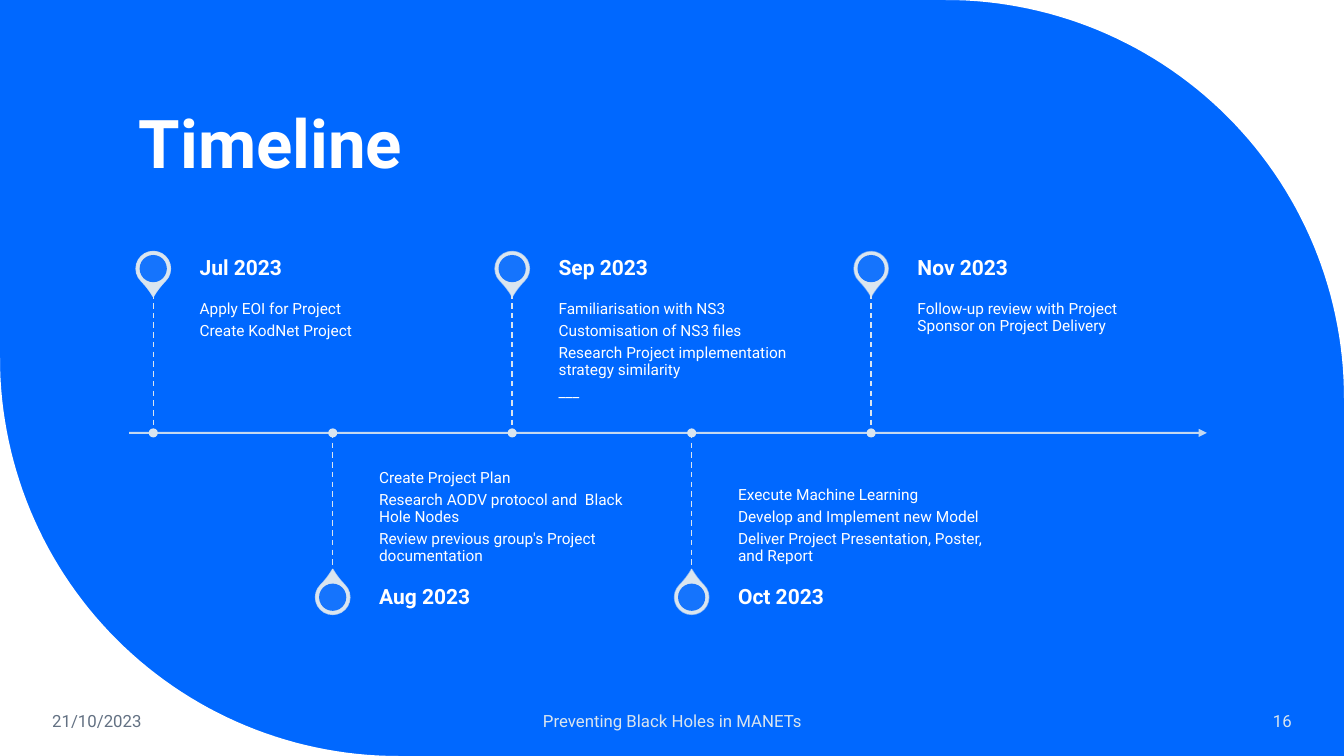
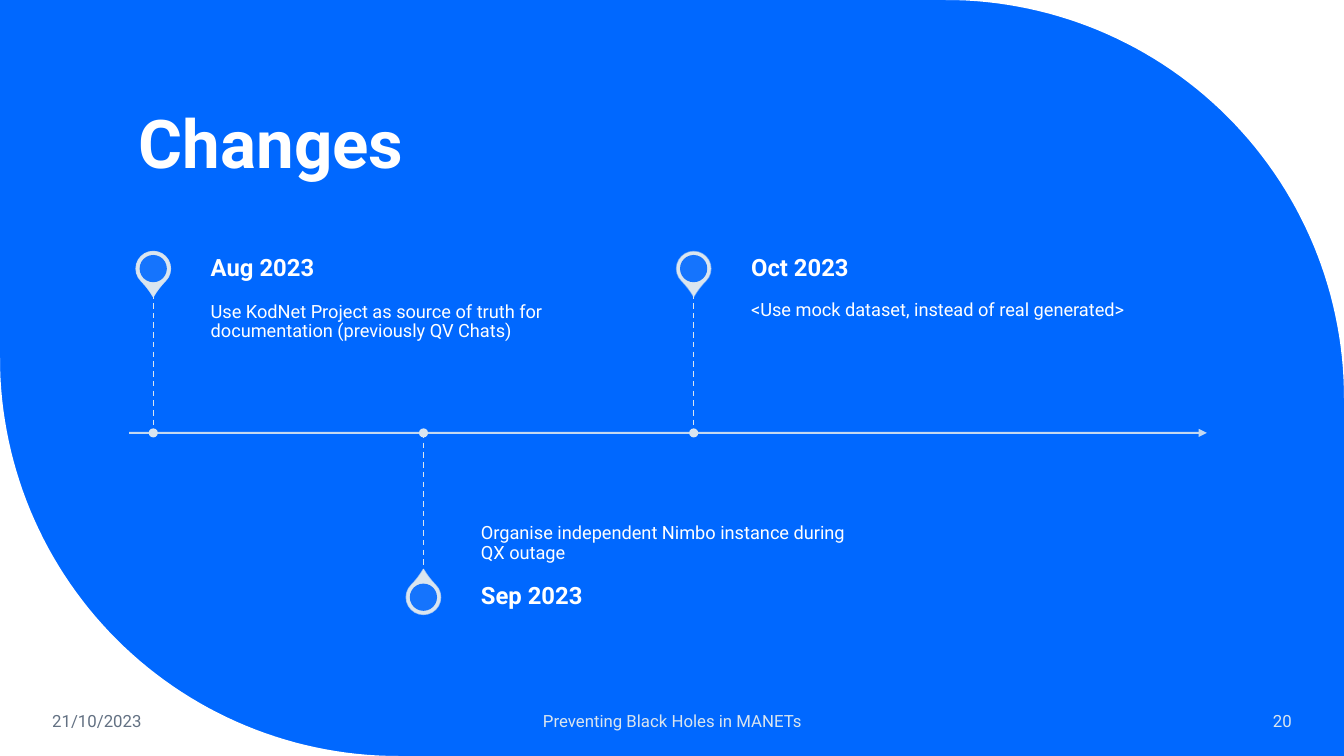
from math import cos, pi, sin

from lxml.etree import SubElement
from pptx import Presentation
from pptx.dml.color import RGBColor
from pptx.enum.dml import MSO_LINE
from pptx.enum.shapes import MSO_CONNECTOR, MSO_SHAPE as SHAPE
from pptx.enum.text import MSO_ANCHOR as ANCHOR, PP_ALIGN as ALIGN
from pptx.oxml.ns import qn
from pptx.util import Inches, Pt

FONT = "Roboto"
BLUE, WHITE, PALE, SLATE = "0068FF", "FFFFFF", "DAE5EF", "637183"
SLIDE_W, SLIDE_H = 13.33, 7.5
CORNER_R = 3.95
HEAD_H = 0.49
BULB, HOLE, DOT = 0.34, 0.27, 0.09


def rgb(hex_color):
    return RGBColor.from_string(hex_color)


def paint(fill, color, alpha=100):
    """Solid fill with opacity in percent."""
    fill.solid()
    fill.fore_color.rgb = rgb(color)
    if alpha < 100:
        clr = fill._xPr.find(".//" + qn("a:srgbClr"))
        SubElement(clr, qn("a:alpha"), val=str(round(alpha * 1000)))


def add_text(s, box, paras, size, color=WHITE, bold=False, align=ALIGN.LEFT,
             anchor=ANCHOR.MIDDLE, insets=(0.1, 0.05, 0.1, 0.05),
             spacing=0.9, after=0.0):
    """Text box; insets run left, top, right, bottom; after is a share of size."""
    tf = s.shapes.add_textbox(*map(Inches, box)).text_frame
    tf.word_wrap = True
    tf.vertical_anchor = anchor
    (tf.margin_left, tf.margin_top,
     tf.margin_right, tf.margin_bottom) = map(Inches, insets)
    for i, text in enumerate(paras):
        p = tf.add_paragraph() if i else tf.paragraphs[0]
        p.alignment = align
        p.line_spacing = spacing
        p.space_after = Pt(size * after)
        r = p.add_run()
        r.text = text
        r.font.name, r.font.size, r.font.bold = FONT, Pt(size), bold
        r.font.color.rgb = rgb(color)


def add_centred(s, kind, cx, cy, size, color, alpha=100):
    """Square-framed shape without outline around a centre point."""
    sp = s.shapes.add_shape(kind, Inches(cx - size / 2), Inches(cy - size / 2),
                            Inches(size), Inches(size))
    sp.shadow.inherit = False
    paint(sp.fill, color, alpha)
    sp.line.fill.background()
    return sp


def add_line(s, x1, y1, x2, y2, width, alpha=100, dashed=False, arrow=False):
    line = s.shapes.add_connector(MSO_CONNECTOR.STRAIGHT,
                                  *map(Inches, (x1, y1, x2, y2)))
    line.line.width = Pt(width)
    paint(line.line.fill, PALE, alpha)
    if dashed:
        line.line.dash_style = MSO_LINE.DASH
    if arrow:
        SubElement(line.line._get_or_add_ln(), qn("a:tailEnd"), type="triangle")
    SubElement(line._element.spPr, qn("a:effectLst"))


def add_corner(s, x, y, cx, cy, steps=60):
    """White area between the slide corner x, y and the arc centred on cx, cy."""
    angles = [pi / 2 * i / steps for i in range(steps + 1)]
    arc = [(Inches(cx + (x - cx) * cos(a)), Inches(cy + (y - cy) * sin(a)))
           for a in angles]
    builder = s.shapes.build_freeform(Inches(x), Inches(y), scale=1.0)
    builder.add_line_segments(arc, close=True)
    sp = builder.convert_to_shape()
    sp.shadow.inherit = False
    paint(sp.fill, WHITE)
    sp.line.fill.background()


def add_footer(s, number, y=6.95, h=0.4):
    for x, w, text, color, align in (
            (0.42, 1.86, "21/10/2023", SLATE, ALIGN.LEFT),
            (4.42, 4.5, "Preventing Black Holes in MANETs", PALE, ALIGN.CENTER),
            (11.1, 1.81, str(number), PALE, ALIGN.RIGHT)):
        add_text(s, (x, y, w, h), [text], 12, color, align=align, spacing=1.0)


def add_event(s, x, y, h, above, date, notes, style, alpha):
    """Pin, stem and texts at x, above or below the middle of the band y, h."""
    axis = y + h / 2
    body_h = h / 2 - HEAD_H
    head_y = y if above else y + h - HEAD_H
    body_y = y + HEAD_H if above else axis
    bulb_y = head_y + HEAD_H / 2

    bulb = add_centred(s, SHAPE.TEAR, x, bulb_y, BULB, PALE)
    bulb.adjustments[0] = 1.15
    bulb.rotation = 135 if above else 315
    bulb.line.width = Pt(1)
    paint(bulb.line.fill, PALE, alpha)
    add_centred(s, SHAPE.OVAL, x, bulb_y, HOLE, BLUE, 90)

    left, width = x + style["gap"], style["width"]
    near, far = style["insets"]
    add_text(s, (left, body_y, width, body_h), notes, style["size"], after=0.35,
             anchor=ANCHOR.TOP if above else ANCHOR.BOTTOM,
             insets=(0, near, near, far) if above else (0, far, 0, near))
    add_text(s, (left, head_y, width, HEAD_H), [date], style["size"] + 4,
             bold=True, after=0.35, insets=(0, 0, 0.1, 0))
    add_line(s, x, body_y, x, body_y + body_h, 1, dashed=True)
    add_centred(s, SHAPE.OVAL, x, axis, DOT, PALE)


def add_timeline(s, x, y, w, h, events, style):
    add_line(s, x, y + h / 2, x + w, y + h / 2, 1.5, alpha=90, arrow=True)
    for i, (date, notes) in enumerate(events):
        add_event(s, x + 0.24 + i * style["step"], y, h, i % 2 == 0, date, notes,
                  style, alpha=90 - 40 * i / (len(events) - 1))


def add_timeline_slide(prs, title, number, events, style):
    s = prs.slides.add_slide(prs.slide_layouts[6])
    paint(s.background.fill, BLUE)
    add_corner(s, SLIDE_W, 0, SLIDE_W - CORNER_R, CORNER_R)
    add_corner(s, 0, SLIDE_H, CORNER_R, SLIDE_H - CORNER_R)
    add_text(s, (1.28, 0, 10.69, 1.87), [title], 48, bold=True,
             anchor=ANCHOR.BOTTOM)
    add_timeline(s, 1.28, 2.42, 10.69, 3.75, events, style)
    add_footer(s, number)


COMPACT = dict(size=11, step=1.78, gap=0.46, width=2.53, insets=(0.08, 0.11))
ROOMY = dict(size=13, step=2.68, gap=0.57, width=3.8, insets=(0.09, 0.14))

SCHEDULE = [
    ("Jul 2023", ["Apply EOI for Project", "Create KodNet Project"]),
    ("Aug 2023", ["Create Project Plan",
                  "Research AODV protocol and  Black Hole Nodes",
                  "Review previous group's Project documentation"]),
    ("Sep 2023", ["Familiarisation with NS3", "Customisation of NS3 files",
                  "Research Project implementation strategy similarity",
                  "___"]),
    ("Oct 2023", ["Execute Machine Learning",
                  "Develop and Implement new Model",
                  "Deliver Project Presentation, Poster, and Report"]),
    ("Nov 2023", ["Follow-up review with Project Sponsor on Project Delivery"]),
]
CHANGES = [
    ("Aug 2023", ["Use KodNet Project as source of truth for documentation "
                  "(previously QV Chats)"]),
    ("Sep 2023", ["Organise independent Nimbo instance during QX outage"]),
    ("Oct 2023", ["<Use mock dataset, instead of real generated>"]),
]


def main():
    prs = Presentation()
    prs.slide_width, prs.slide_height = Inches(SLIDE_W), Inches(SLIDE_H)
    add_timeline_slide(prs, "Timeline", 16, SCHEDULE, COMPACT)
    add_timeline_slide(prs, "Changes", 20, CHANGES, ROOMY)
    prs.save("out.pptx")


if __name__ == "__main__":
    main()
